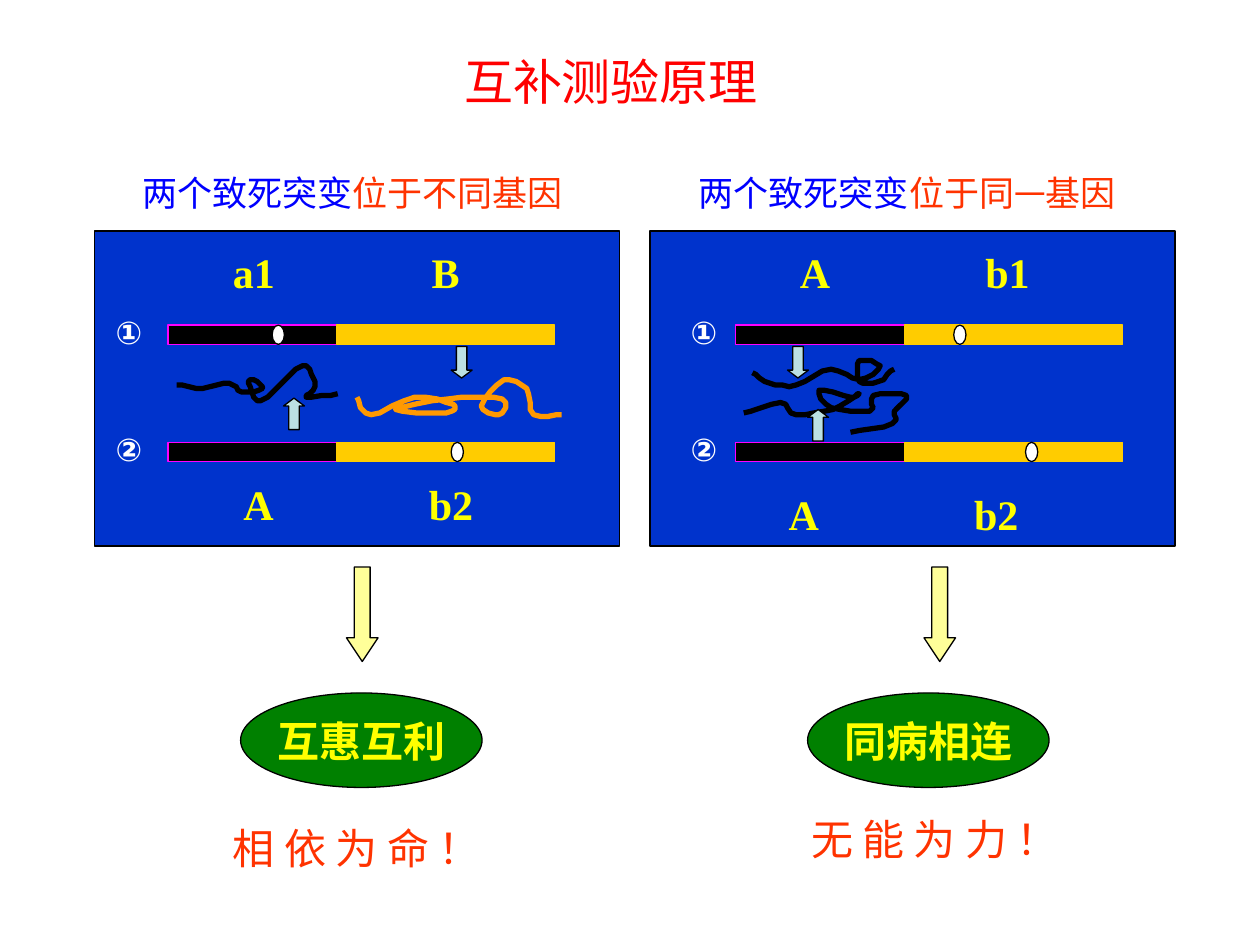
import pptx
import pptx.util
import pptx.dml.color
import pptx.enum.shapes
import pptx.enum.text
import pptx.oxml
import pptx.oxml.ns

Pt = pptx.util.Pt
MSO = pptx.enum.shapes.MSO_SHAPE
ALIGN = pptx.enum.text.PP_ALIGN
ANCHOR = pptx.enum.text.MSO_ANCHOR
RGB = pptx.dml.color.RGBColor.from_string
C = {
    "panel": "0033CC", "black": "000000", "magenta": "FF00FF",
    "gold": "FFCC00", "white": "FFFFFF", "orange": "FF9900",
    "pale_blue": "BBE0E3", "pale_yellow": "FFFF99", "green": "008000",
    "yellow": "FFFF00", "red": "FF0000", "blue": "0000FF", "vermilion": "FF3300",
}


def add_shape(kind, x, y, w, h, fill, line="black", width=0.75):
    sp = s.shapes.add_shape(kind, Pt(x), Pt(y), Pt(w), Pt(h))
    sp.shadow.inherit = False
    sp.fill.solid()
    sp.fill.fore_color.rgb = RGB(C[fill])
    sp.line.color.rgb = RGB(C[line])
    sp.line.width = Pt(width)
    return sp


def add_text(x, y, w, h, text, size, font, color, bold=False, tab=None):
    sp = s.shapes.add_textbox(Pt(x), Pt(y), Pt(w), Pt(h))
    sp.text_frame.word_wrap = True
    p = sp.text_frame.paragraphs[0]
    p.text = text
    if tab:
        ns = pptx.oxml.ns.nsdecls("a")
        p._p.get_or_add_pPr().append(pptx.oxml.parse_xml(
            f'<a:tabLst {ns}><a:tab pos="{Pt(tab)}" algn="l"/></a:tabLst>'))
    p.font.size = Pt(size)
    p.font.name = font
    p.font.bold = bold
    p.font.color.rgb = RGB(C[color])
    return p


prs = pptx.Presentation()
prs.slide_width, prs.slide_height = Pt(720), Pt(540)
s = prs.slides.add_slide(prs.slide_layouts[5])

title = s.shapes.title
title.left, title.top, title.width, title.height = Pt(258), Pt(26), Pt(209.5), Pt(41)
tf = title.text_frame
tf.text = "互补测验原理"
tf.vertical_anchor = ANCHOR.TOP
p = tf.paragraphs[0]
p.alignment = ALIGN.LEFT
p.font.size = Pt(28)
p.font.name = "Arial"
p.font.color.rgb = RGB(C["red"])

panels = [
    {
        "x": 54, "bar_x": 96, "number_x": 59, "caption_x": 65.5,
        "place": ["位于不同基因"],
        "genes": [(126, 137.5, "a1\tB", 113.5), (132, 270, "A\tb2", 106)],
        "mutations": [155.5, 257.8],
        "down_x": 257.8, "up_x": 162, "up_y": 227.5,
        "result_x": 198, "oval_x": 137.5, "verdict": "互惠互利",
        "ending": (126, 466.5, "相 依 为 命 ！"),
        "strands": [
            ("black", [
                (101, 220), (116, 222), (131, 219), (138, 224), (150, 222),
                (145, 217), (142, 219), (147, 229), (155, 225), (167, 213),
                (175, 209), (180, 221), (175, 227), (193, 225)]),
            ("orange", [
                (204, 227), (212, 237), (237, 227), (259, 231), (255, 236),
                (226, 234), (256, 228), (287, 228), (285, 237), (275, 232),
                (288, 217), (301, 222), (305, 237), (321, 237)]),
        ],
    },
    {
        "x": 371.5, "bar_x": 420.5, "number_x": 387.5, "caption_x": 382.5,
        "place": ["位于同", "一", "基因"],
        "genes": [(450, 137.5, "A\tb1", 106), (443.5, 275.8, "A\tb2", 106)],
        "mutations": [545, 586],
        "down_x": 450, "up_x": 461.5, "up_y": 234,
        "result_x": 528, "oval_x": 461.5, "verdict": "同病相连",
        "ending": (456.5, 461.5, "无 能 为 力 ！"),
        "strands": [
            ("black", [
                (425, 236), (446, 230), (455, 237), (476, 234), (490, 225),
                (486, 227), (468, 223), (475, 233), (497, 235), (499, 226),
                (518, 226), (511, 235), (510, 242), (486, 247)]),
            ("black", [
                (430, 213), (440, 219), (455, 220), (475, 211), (491, 217),
                (503, 209), (491, 206), (491, 218), (502, 218), (511, 211)]),
        ],
    },
]

for panel in panels:
    add_shape(MSO.RECTANGLE, panel["x"], 132, 300, 180, "panel", width=1)

    for i, number in enumerate("①②"):
        y = 185.8 + 67 * i
        add_shape(MSO.RECTANGLE, panel["bar_x"], y, 96.5, 11, "black", "magenta")
        add_shape(MSO.RECTANGLE, panel["bar_x"] + 96.5, y, 124.5, 11, "gold", "gold")
        add_shape(MSO.OVAL, panel["mutations"][i], y, 7, 11, "white")
        add_text(panel["number_x"], y - 10.5, 39.5, 29, number, 18, "Arial", "white", True)

    for color, pts in panel["strands"]:
        ends = [pts[0]] + pts + [pts[-1]]
        curve = []
        for a, b, c, d in zip(ends, ends[1:], ends[2:], ends[3:]):
            for step in range(1, 5):
                t = step / 4
                curve.append([
                    b[i] + t / 2 * (c[i] - a[i]
                    + t * (2 * a[i] - 5 * b[i] + 4 * c[i] - d[i])
                    + t * t * (3 * b[i] - a[i] - 3 * c[i] + d[i]))
                    for i in (0, 1)])
        fb = s.shapes.build_freeform(*pts[0], scale=Pt(1))
        fb.add_line_segments(curve, close=False)
        sp = fb.convert_to_shape()
        sp.shadow.inherit = False
        sp.fill.background()
        sp.line.color.rgb = RGB(C[color])
        sp.line.width = Pt(3)

    for kind, x, y, w, h, fill, head in [
        (MSO.DOWN_ARROW, panel["down_x"], 198, 12, 18, "pale_blue", 0.375),
        (MSO.UP_ARROW, panel["up_x"], panel["up_y"], 12, 18, "pale_blue", 0.375),
        (MSO.DOWN_ARROW, panel["result_x"], 324, 18, 54, "pale_yellow", 0.75),
    ]:
        sp = add_shape(kind, x, y, w, h, fill)
        sp.adjustments[1] = head

    for x, y, genes, tab in panel["genes"]:
        add_text(x, y, 192, 36, genes, 24, "Times New Roman", "yellow", True, tab)

    p = add_text(panel["caption_x"], 94.5, 272, 31.5, "两个致死突变", 20, "Arial", "blue")
    p.alignment = ALIGN.CENTER
    for part in panel["place"]:
        r = p.add_run()
        r.text = part
        r.font.color.rgb = RGB(C["vermilion"])
        if part == "一":
            r.font.size = Pt(18)

    sp = add_shape(MSO.OVAL, panel["oval_x"], 396, 138, 54, "green")
    tf = sp.text_frame
    tf.word_wrap = False
    tf.vertical_anchor = ANCHOR.MIDDLE
    p = tf.paragraphs[0]
    p.text = panel["verdict"]
    p.alignment = ALIGN.CENTER
    p.font.size = Pt(24)
    p.font.name = "Times New Roman"
    p.font.bold = True
    p.font.color.rgb = RGB(C["yellow"])
    x, y, ending = panel["ending"]
    add_text(x, y, 210, 36, ending, 24, "Noto Sans CJK SC", "vermilion")

prs.save("out.pptx")
